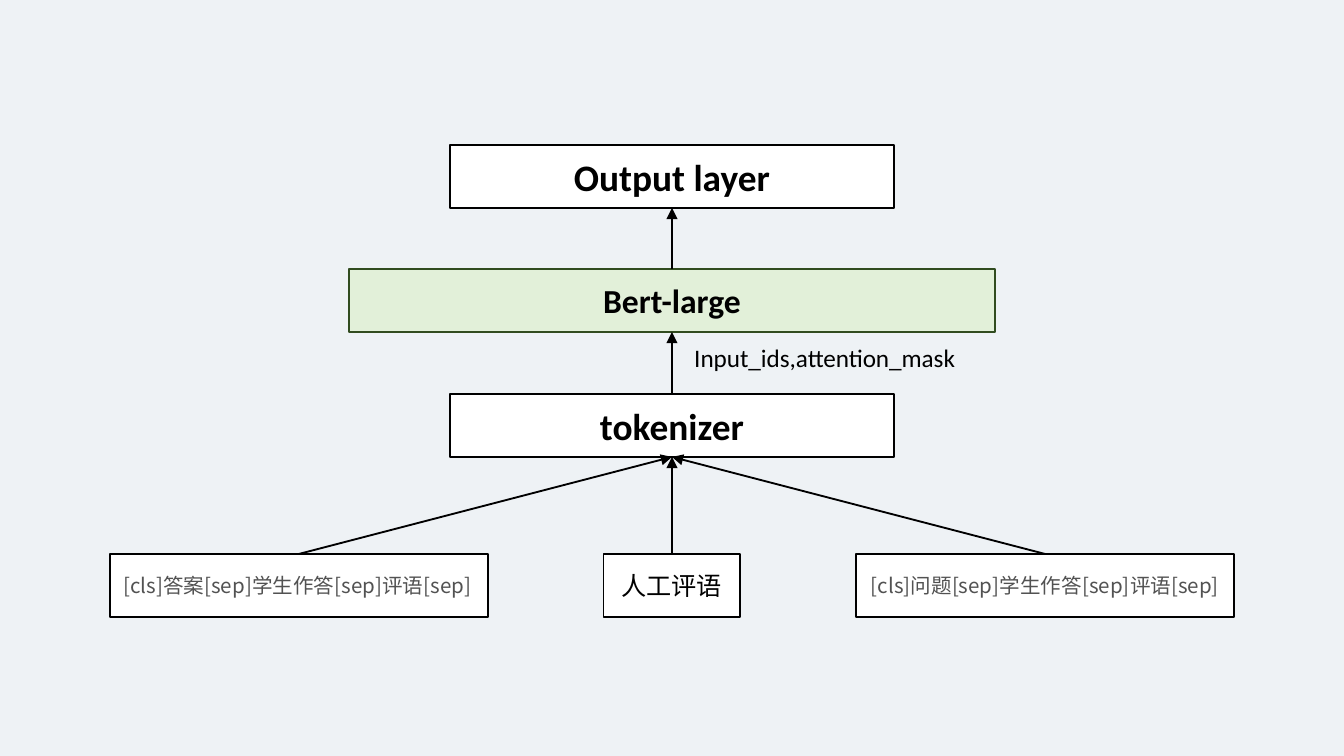
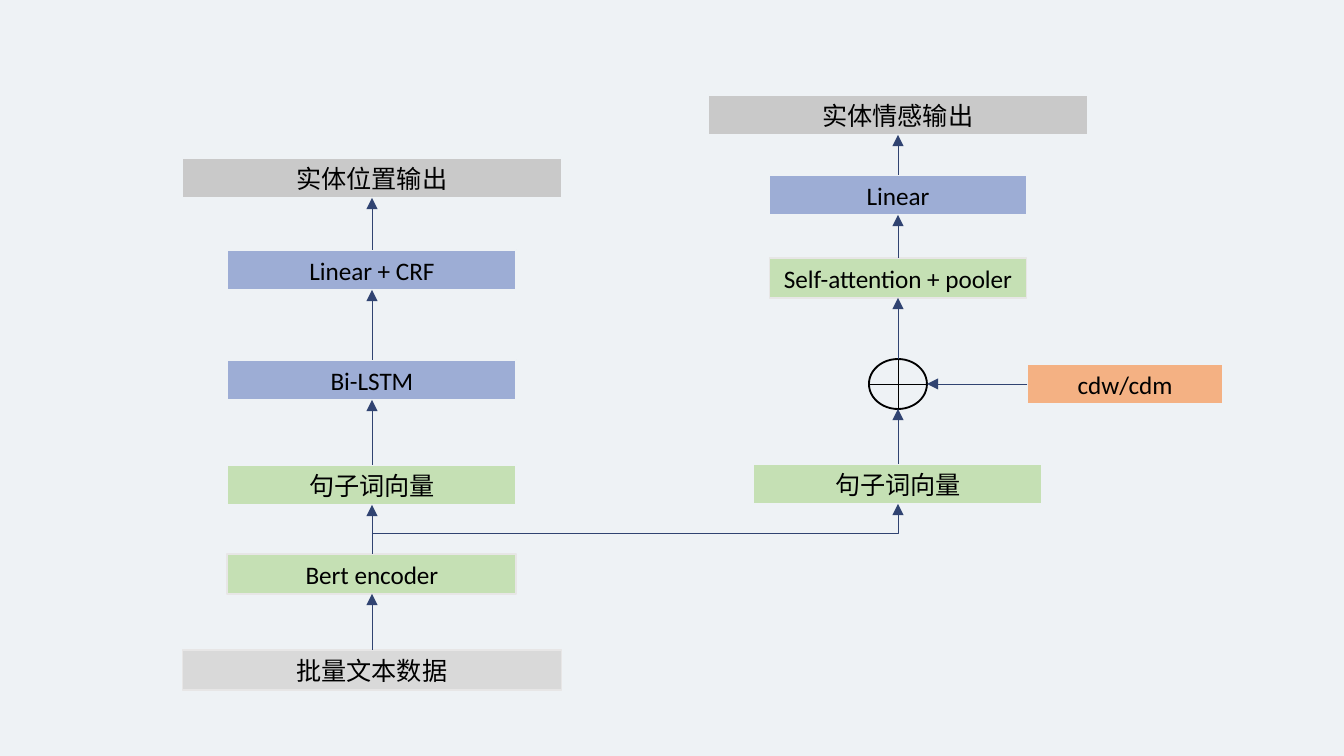
from dataclasses import dataclass

from lxml.etree import SubElement
from pptx import Presentation
from pptx.dml.color import RGBColor
from pptx.enum.shapes import MSO_CONNECTOR as Link, MSO_SHAPE as Shape
from pptx.enum.text import MSO_ANCHOR as Anchor, PP_ALIGN as Align
from pptx.oxml.ns import qn
from pptx.util import Pt

EMU_PER_PX = 914400 / 134.4
TOP, LEFT, BOTTOM, RIGHT = range(4)


@dataclass(frozen=True)
class Theme:
    page: str = "EEF2F5"
    ink: str = "000000"
    white: str = "FFFFFF"
    sample_text: str = "525252"
    pale_green: str = "E2F0D9"
    dark_green: str = "314C1F"
    green: str = "C5E0B4"
    blue: str = "9DADD5"
    orange: str = "F4B183"
    gray: str = "C9C9C9"
    light_gray: str = "D9D9D9"
    soft_edge: str = "E7E6E6"
    arrow: str = "304371"
    latin: str = "Calibri"
    cjk: str = "Noto Sans CJK SC"
    large: float = 20
    medium: float = 18
    body: float = 13.5
    sample: float = 11
    thick: float = 1
    thin: float = 0.5


T = Theme()

# ---- Content: scoring model ----
SCORING_CENTER, SCORING_HEIGHT = 672, 63
INPUT_TOP, INPUT_WIDTH, INPUT_OFFSET = 554, 378, 373
# text, top, width, size, fill, edge
SCORING_LAYERS = [
    ("tokenizer", 394, 444, T.large, T.white, T.ink),
    ("Bert-large", 269, 646, T.medium, T.pale_green, T.dark_green),
    ("Output layer", 145, 444, T.large, T.white, T.ink),
]
# text, horizontal step from the centre, alignment
SAMPLES = [
    ("[cls]答案[sep]学生作答[sep]评语[sep]", -1, Align.LEFT),
    ("[cls]问题[sep]学生作答[sep]评语[sep]", 1, Align.CENTER),
]
HUMAN_COMMENT, HUMAN_WIDTH = "人工评语", 137
TOKEN_NOTE, TOKEN_NOTE_AREA = "Input_ids,attention_mask", (681, 336, 288, 44)

# ---- Content: entity model, each column from bottom to top ----
STEP_HEIGHT, WIDE, MID, NARROW = 40, 379, 289, 257
POSITION_CENTER, SENTIMENT_CENTER = 372, 898
# text, top, width, fill, edge
POSITION_STEPS = [
    ("批量文本数据", 650, WIDE, T.light_gray, T.soft_edge),
    ("Bert encoder", 554, MID, T.green, T.soft_edge),
    ("句子词向量", 465, MID, T.green, T.page),
    ("Bi-LSTM", 360, MID, T.blue, T.page),
    ("Linear + CRF", 250, MID, T.blue, T.page),
    ("实体位置输出", 158, WIDE, T.gray, T.page),
]
SENTIMENT_VECTORS = ("句子词向量", 464, MID, T.green, T.page)
SENTIMENT_STEPS = [
    ("Self-attention + pooler", 258, NARROW, T.green, T.soft_edge),
    ("Linear", 175, NARROW, T.blue, T.page),
    ("实体情感输出", 95, WIDE, T.gray, T.page),
]
WEIGHTING = ("cdw/cdm", 364, 195, T.orange, T.page)
WEIGHTING_CENTER = 1125
SUM_AREA = (869, 359, 58, 50)
BRANCH_TOP = 534


# ---- Helpers ----
def px(*lengths):
    return [round(length * EMU_PER_PX) for length in lengths]


def rgb(color):
    return RGBColor.from_string(color)


def new_slide(prs):
    slide = prs.slides.add_slide(prs.slide_layouts[6])
    slide.background.fill.solid()
    slide.background.fill.fore_color.rgb = rgb(T.page)
    return slide


def write(frame, text, size, color=T.ink, latin=T.latin, bold=False,
          align=Align.CENTER):
    paragraph = frame.paragraphs[0]
    paragraph.alignment = align
    run = paragraph.add_run()
    run.text = text
    font = run.font
    font.size, font.bold, font.name = Pt(size), bold, latin
    font.color.rgb = rgb(color)
    SubElement(run._r.get_or_add_rPr(), qn("a:ea"), typeface=T.cjk)


def add_node(slide, kind, area, fill, edge):
    node = slide.shapes.add_shape(kind, *px(*area))
    node.shadow.inherit = False
    node.fill.solid()
    node.fill.fore_color.rgb = rgb(fill)
    node.line.color.rgb = rgb(edge)
    node.line.width = Pt(T.thick)
    return node


def add_box(slide, center, top, width, height, text, fill, edge, size=T.body,
            **style):
    area = (center - width / 2, top, width, height)
    box = add_node(slide, Shape.RECTANGLE, area, fill, edge)
    box.text_frame.word_wrap = True
    box.text_frame.vertical_anchor = Anchor.MIDDLE
    write(box.text_frame, text, size, **style)
    return box


def add_step(slide, center, step):
    text, top, width, fill, edge = step
    return add_box(slide, center, top, width, STEP_HEIGHT, text, fill, edge)


def side_point(node, side):
    across = {LEFT: 0, RIGHT: node.width}.get(side, node.width // 2)
    down = {TOP: 0, BOTTOM: node.height}.get(side, node.height // 2)
    return node.left + across, node.top + down


def draw_line(slide, kind, start, end, color, width, arrow=True):
    line = slide.shapes.add_connector(kind, *start, *end)
    line.line.color.rgb = rgb(color)
    line.line.width = Pt(width)
    properties = line._element.spPr
    if arrow:
        SubElement(properties.find(qn("a:ln")), qn("a:tailEnd"), type="triangle")
    SubElement(properties, qn("a:effectLst"))
    return line


def link(slide, source, target, color, width, sides=(TOP, BOTTOM), arrow=True):
    start, end = side_point(source, sides[0]), side_point(target, sides[1])
    line = draw_line(slide, Link.STRAIGHT, start, end, color, width, arrow)
    if source.auto_shape_type == Shape.RECTANGLE:
        line.begin_connect(source, sides[0])
    if target.auto_shape_type == Shape.RECTANGLE:
        line.end_connect(target, sides[1])


def link_chain(slide, nodes, color, width):
    for lower, upper in zip(nodes, nodes[1:]):
        link(slide, lower, upper, color, width)


# ---- Slides ----
def build_scoring(prs):
    slide = new_slide(prs)
    inputs = [add_box(slide, SCORING_CENTER, INPUT_TOP, HUMAN_WIDTH,
                      SCORING_HEIGHT, HUMAN_COMMENT, T.white, T.ink)]
    for text, step, align in SAMPLES:
        inputs.append(add_box(
            slide, SCORING_CENTER + step * INPUT_OFFSET, INPUT_TOP, INPUT_WIDTH,
            SCORING_HEIGHT, text, T.white, T.ink, T.sample,
            color=T.sample_text, latin=T.cjk, align=align))
    layers = [add_box(slide, SCORING_CENTER, top, width, SCORING_HEIGHT, text,
                      fill, edge, size, bold=True)
              for text, top, width, size, fill, edge in SCORING_LAYERS]

    # Inputs meet at the tokenizer, then the layers follow upwards
    for source in inputs:
        link(slide, source, layers[0], T.ink, T.thick)
    link_chain(slide, layers, T.ink, T.thick)

    note = slide.shapes.add_textbox(*px(*TOKEN_NOTE_AREA))
    note.text_frame.word_wrap = False
    write(note.text_frame, TOKEN_NOTE, T.body, align=Align.LEFT)


def build_entities(prs):
    slide = new_slide(prs)
    position = [add_step(slide, POSITION_CENTER, step) for step in POSITION_STEPS]
    vectors = add_step(slide, SENTIMENT_CENTER, SENTIMENT_VECTORS)
    sentiment = [add_step(slide, SENTIMENT_CENTER, step)
                 for step in SENTIMENT_STEPS]
    weighting = add_step(slide, WEIGHTING_CENTER, WEIGHTING)

    # Sum sign: circle with a cross
    total = add_node(slide, Shape.OVAL, SUM_AREA, T.page, T.ink)
    for sides in ((LEFT, RIGHT), (TOP, BOTTOM)):
        link(slide, total, total, T.ink, T.thin, sides, arrow=False)

    # Flow of both columns
    link_chain(slide, position, T.arrow, T.thin)
    link_chain(slide, [vectors, total, *sentiment], T.arrow, T.thin)
    link(slide, weighting, total, T.arrow, T.thin, (LEFT, RIGHT))

    # Branch from the encoder to the sentiment column
    branch = draw_line(slide, Link.ELBOW, px(POSITION_CENTER, BRANCH_TOP),
                       side_point(vectors, BOTTOM), T.arrow, T.thin)
    branch._element.spPr.find(qn("a:prstGeom")).set("prst", "bentConnector2")


def main():
    prs = Presentation()
    prs.slide_width, prs.slide_height = px(1344, 756)
    build_scoring(prs)
    build_entities(prs)
    prs.save("out.pptx")


if __name__ == "__main__":
    main()
